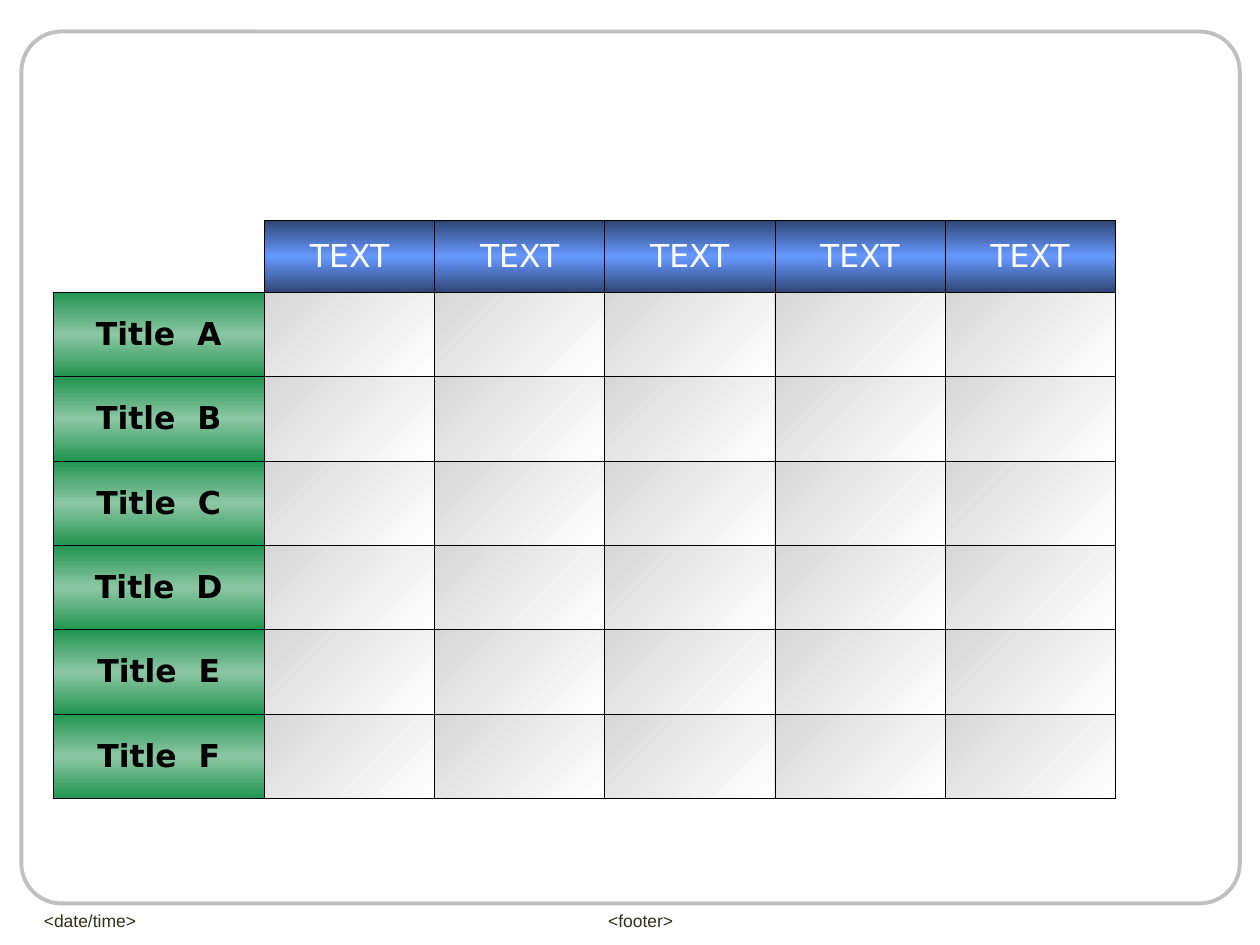
from dataclasses import dataclass

from lxml import etree
from pptx import Presentation
from pptx.dml.color import RGBColor
from pptx.enum import shapes, text
from pptx.oxml import ns
from pptx.util import Inches, Pt

COLORS = {
    "frame": "C0C0C0",
    "footer": "30311D",
    "border": "000000",
    "heading_edge": "2F4675",
    "heading_middle": "6699FF",
    "title_edge": "229450",
    "title_middle": "8CC7A4",
    "body_light": "FFFFFF",
    "body_dark": "D7D7D7",
    "heading_text": "FFFFFF",
    "title_text": "000000",
}


@dataclass(frozen=True)
class Gradient:
    stops: tuple[str, ...]
    angle: int


@dataclass(frozen=True)
class CellStyle:
    gradient: Gradient | None
    color: str = "title_text"
    bold: bool = False
    sides: str = "LRTB"


@dataclass(frozen=True)
class FooterLabel:
    wording: str
    left: float
    width: float
    align: text.PP_ALIGN


CORNER = CellStyle(None, sides="RB")
HEADING = CellStyle(
    Gradient(("heading_edge", "heading_middle", "heading_edge"), 90), "heading_text"
)
TITLE = CellStyle(
    Gradient(("title_edge", "title_middle", "title_edge"), 90), bold=True
)
BODY = CellStyle(Gradient(("body_light", "body_dark"), 225))

FOOTER_LABELS = (
    FooterLabel("<date/time>", 0.25, 2.33, text.PP_ALIGN.LEFT),
    FooterLabel("<footer>", 3.5, 3.17, text.PP_ALIGN.CENTER),
)
HEADINGS = ["TEXT"] * 5
TITLES = [f"Title  {letter}" for letter in "ABCDEF"]


def rgb(name: str) -> RGBColor:
    return RGBColor.from_string(COLORS[name])


def add_child(parent, tag: str, **attributes):
    return etree.SubElement(
        parent, ns.qn(tag), {key: str(value) for key, value in attributes.items()}
    )


def add_color(parent, name: str) -> None:
    add_child(parent, "a:srgbClr", val=COLORS[name])


def write_run(paragraph, wording: str, font: str, size: float, color: str, bold: bool = False) -> None:
    run = paragraph.add_run()
    run.text = wording
    run.font.name = font
    run.font.size = Pt(size)
    run.font.bold = bold
    run.font.color.rgb = rgb(color)


def add_borders(properties, sides: str) -> None:
    for side in "LRTB":
        line = add_child(properties, f"a:ln{side}", w=Pt(0.45))
        if side in sides:
            add_color(add_child(line, "a:solidFill"), "border")
        else:
            add_child(line, "a:noFill")


def add_gradient(properties, gradient: Gradient) -> None:
    fill = add_child(properties, "a:gradFill", rotWithShape=1)
    stops = add_child(fill, "a:gsLst")
    step = 100000 // (len(gradient.stops) - 1)
    for index, name in enumerate(gradient.stops):
        add_color(add_child(stops, "a:gs", pos=index * step), name)
    add_child(fill, "a:lin", ang=gradient.angle * 60000, scaled=0)


def style_cell(cell, wording: str, style: CellStyle) -> None:
    cell.vertical_anchor = text.MSO_ANCHOR.MIDDLE
    properties = cell._tc.get_or_add_tcPr()
    add_borders(properties, style.sides)
    if style.gradient:
        add_gradient(properties, style.gradient)
    else:
        cell.fill.background()
    if wording:
        paragraph = cell.text_frame.paragraphs[0]
        paragraph.alignment = text.PP_ALIGN.CENTER
        write_run(paragraph, wording, "DejaVu Sans", 18, style.color, style.bold)


def add_frame(slide) -> None:
    frame = slide.shapes.add_shape(
        shapes.MSO_SHAPE.ROUNDED_RECTANGLE,
        Inches(0.17), Inches(0.25), Inches(9.67), Inches(6.92),
    )
    frame.adjustments[0] = 0.046
    frame.shadow.inherit = False
    frame.fill.background()
    frame.line.color.rgb = rgb("frame")
    frame.line.width = Pt(2.25)


def add_footer_label(slide, label: FooterLabel) -> None:
    box = slide.shapes.add_textbox(
        Inches(label.left), Inches(7.17), Inches(label.width), Inches(0.27)
    )
    box.text_frame.word_wrap = True
    paragraph = box.text_frame.paragraphs[0]
    paragraph.alignment = label.align
    write_run(paragraph, label.wording, "Arial", 10, "footer")


def add_grid(slide) -> None:
    grid = slide.shapes.add_table(
        len(TITLES) + 1, len(HEADINGS) + 1,
        Inches(0.42), Inches(1.75), Inches(8.42), Inches(4.58),
    ).table
    grid.first_row = False
    grid.horz_banding = False
    for index, column in enumerate(grid.columns):
        column.width = Inches(1.35 if index else 1.68)
    for index, row in enumerate(grid.rows):
        row.height = Inches(0.67 if index else 0.57)

    style_cell(grid.cell(0, 0), "", CORNER)
    for column, heading in enumerate(HEADINGS, 1):
        style_cell(grid.cell(0, column), heading, HEADING)
    for row, title in enumerate(TITLES, 1):
        style_cell(grid.cell(row, 0), title, TITLE)
        for column in range(1, len(HEADINGS) + 1):
            style_cell(grid.cell(row, column), "", BODY)


def main() -> None:
    presentation = Presentation()
    presentation.slide_width = Inches(10)
    presentation.slide_height = Inches(7.5)
    slide = presentation.slides.add_slide(presentation.slide_layouts[6])
    add_frame(slide)
    for label in FOOTER_LABELS:
        add_footer_label(slide, label)
    add_grid(slide)
    presentation.save("out.pptx")


if __name__ == "__main__":
    main()
